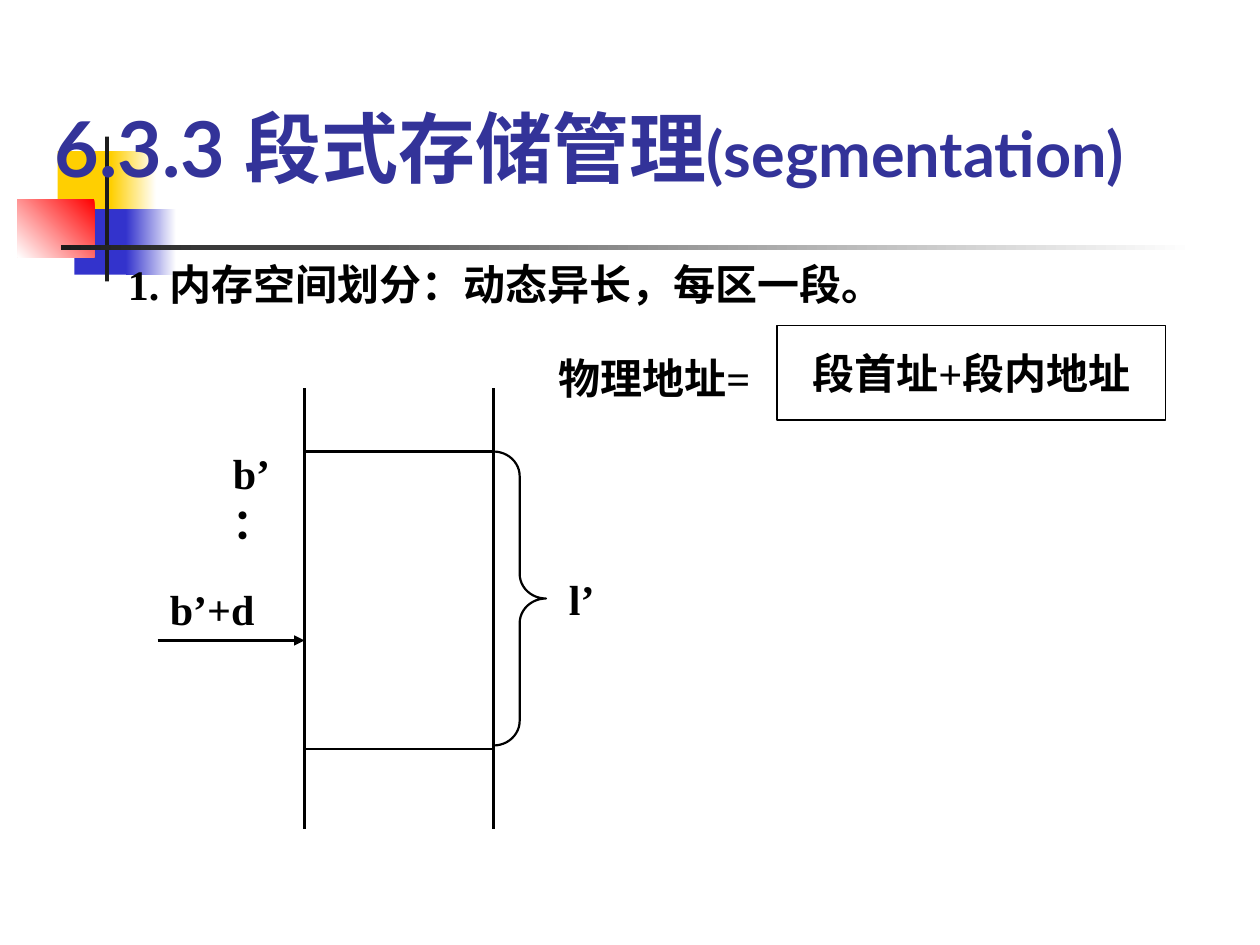
"""Build the slide on segmented memory management."""
from lxml import etree
from pptx import Presentation
from pptx import util as u
from pptx.dml.color import RGBColor
from pptx.enum import shapes, text
from pptx.oxml.ns import qn

BLACK, WHITE, YELLOW, BLUE, RED, DARK = "000000", "FFFFFF", "FFCF01", "3333CC", "FF0000", "1C1C1C"
SERIF = "Times New Roman"

TITLE = [("6.3.3 段式存储管理", 44), ("(segmentation)", 36)]
DECORATIONS = [
    ((33, 86.4, 34.6, 37.4), (YELLOW,), 0),
    ((63.4, 86.4, 25.9, 37.4), (YELLOW, WHITE), 0),
    ((42.5, 119.5, 33.1, 37.4), (BLUE,), 0),
    ((72, 119.5, 28.8, 37.4), (BLUE, WHITE), 0),
    ((10, 113.8, 44, 33.1), (RED, WHITE), 225),
    ((60, 78, 2.3, 82.8), (DARK,), 0),
    ((35, 140.2, 648, 2.4), (DARK, WHITE), 0),
]
LABELS = [
    ("1. 内存空间划分：动态异长，每区一段。", (66, 144, 595, 36)),
    ("物理地址=", (312, 198, 144, 36)),
    ("b’：", (126, 252, 42, 65)),
    ("l’", (318, 324, 48, 36)),
    ("b’+d", (90, 330, 72, 36)),
]
FORMULA = ("段首址+段内地址", (444, 186, 222, 54))
MEMORY_LEFT, MEMORY_RIGHT = 174, 282
MEMORY_TOP, MEMORY_BOTTOM = 222, 474
SEGMENT_TOP, SEGMENT_HEIGHT = 258, 170
ARROW_LEFT, ARROW_TOP = 90, 366


def color(value):
    return RGBColor.from_string(value)


def points(values):
    return [u.Pt(value) for value in values]


def write(box, runs, font=SERIF, ink=BLACK, align=text.PP_ALIGN.LEFT,
          anchor=text.MSO_ANCHOR.TOP, wrap=True):
    frame = box.text_frame
    frame.word_wrap = wrap
    frame.auto_size = text.MSO_AUTO_SIZE.NONE
    frame.vertical_anchor = anchor
    para = frame.paragraphs[0]
    para.alignment = align
    for content, size in runs:
        span = para.add_run()
        span.text = content
        span.font.name, span.font.size, span.font.bold = font, u.Pt(size), True
        span.font.color.rgb = color(ink)


def add_shape(page, kind, place, fills=(), angle=0, weight=0):
    shape = page.shapes.add_shape(kind, *points(place))
    shape.shadow.inherit = False
    if len(fills) == 2:
        shape.fill.gradient()
        shape.fill.gradient_angle = angle
        for stop, value, position in zip(shape.fill.gradient_stops, fills, (0, 1)):
            stop.color.rgb = color(value)
            stop.position = position
    elif fills:
        shape.fill.solid()
        shape.fill.fore_color.rgb = color(fills[0])
    else:
        shape.fill.background()
    if weight:
        shape.line.color.rgb = color(BLACK)
        shape.line.width = u.Pt(weight)
    else:
        shape.line.fill.background()
    return shape


def add_line(page, start, end, arrow=False):
    line = page.shapes.add_connector(shapes.MSO_CONNECTOR.STRAIGHT, *points(start + end))
    line.line.color.rgb = color(BLACK)
    line.line.width = u.Pt(1.25)
    if arrow:
        etree.SubElement(line.line._get_or_add_ln(), qn("a:tailEnd"), type="triangle")
    etree.SubElement(line._element.spPr, qn("a:effectLst"))


def add_memory(page):
    width = MEMORY_RIGHT - MEMORY_LEFT
    add_shape(page, shapes.MSO_SHAPE.RECTANGLE,
              (MEMORY_LEFT, SEGMENT_TOP, width, SEGMENT_HEIGHT), (WHITE,), weight=1.25)
    for side in (MEMORY_LEFT, MEMORY_RIGHT):
        add_line(page, (side, MEMORY_TOP), (side, MEMORY_BOTTOM))
    brace = add_shape(page, shapes.MSO_SHAPE.RIGHT_BRACE,
                      (MEMORY_RIGHT, SEGMENT_TOP, 30, 168), weight=1.25)
    brace.adjustments[0] = 0.47
    add_line(page, (ARROW_LEFT, ARROW_TOP), (MEMORY_LEFT, ARROW_TOP), arrow=True)


def add_title(page):
    title = page.shapes.title
    title.left, title.top, title.width, title.height = points((24, 24, 672, 90))
    write(title, TITLE, font="Lato", ink="333399", anchor=text.MSO_ANCHOR.BOTTOM)
    title._element.getparent().append(title._element)


def main():
    deck = Presentation()
    deck.slide_width, deck.slide_height = points((720, 540))
    page = deck.slides.add_slide(deck.slide_layouts[5])
    for place, fills, angle in DECORATIONS:
        add_shape(page, shapes.MSO_SHAPE.RECTANGLE, place, fills, angle)
    formula, place = FORMULA
    box = add_shape(page, shapes.MSO_SHAPE.RECTANGLE, place, (WHITE,), weight=0.75)
    write(box, [(formula, 24)], align=text.PP_ALIGN.CENTER,
          anchor=text.MSO_ANCHOR.MIDDLE, wrap=False)
    add_memory(page)
    for label, place in LABELS:
        write(page.shapes.add_textbox(*points(place)), [(label, 24)])
    add_title(page)
    deck.save("out.pptx")


if __name__ == "__main__":
    main()
